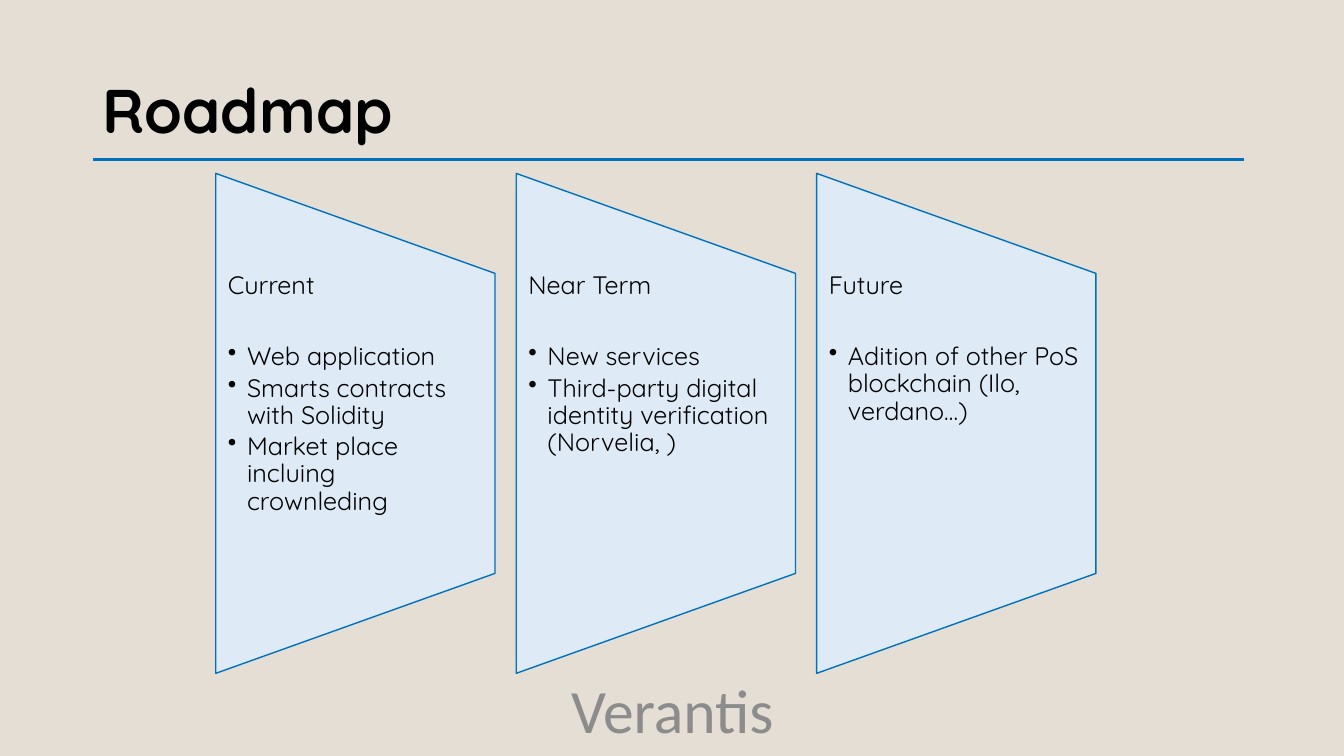
"""Build a roadmap slide with three stages."""
import pptx
import pptx.dml.color
import pptx.enum.shapes
import pptx.enum.text
import pptx.oxml
import pptx.oxml.ns
import pptx.util

Inches = pptx.util.Inches
Pt = pptx.util.Pt
SHAPES = pptx.enum.shapes.MSO_SHAPE
ANCHOR = pptx.enum.text.MSO_ANCHOR
ALIGN = pptx.enum.text.PP_ALIGN

TITLE = "Roadmap"
BRAND = "Verantis"
STAGES = [
    ("Current", ["Web application", "Smarts contracts with Solidity",
                 "Market place incluing crownleding"]),
    ("Near Term", ["New services",
                   "Third-party digital identity verification (Norvelia, )"]),
    ("Future", ["Adition of other PoS blockchain (Ilo, verdano…)"]),
]

THEME = {
    "back": "E5DED5", "panel": "DEEBF7", "line": "0070C0",
    "ink": "000000", "gray": "8C8C8C",
    "font": "Quicksand", "foot": "Calibri", "big": 44, "body": 18,
}
LEFT, STEP, WIDE = 2.14, 2.98, 2.77
TOP, TALL = 1.72, 4.96
TEXT_TOP, TEXT_TALL = 2.71, 2.98
HEAD_GAP, ITEM_GAP, INDENT = 31, 3, 0.19


def color(name):
    return pptx.dml.color.RGBColor.from_string(THEME[name])


def add_bullet(para):
    props = para._p.get_or_add_pPr()
    props.set("marL", str(Inches(INDENT)))
    props.set("indent", str(-Inches(INDENT)))
    mark = pptx.oxml.parse_xml(
        '<a:buChar xmlns:a="http://schemas.openxmlformats.org/drawingml/2006/main"'
        ' char="•"/>')
    props.append(mark)


def add_text(slide, box, lines, size="body", font="font", ink="ink", bold=False,
             align=ALIGN.LEFT, anchor=ANCHOR.TOP, side=0.1, ratio=0.9):
    frame = slide.shapes.add_textbox(*map(Inches, box)).text_frame
    frame.word_wrap = True
    frame.vertical_anchor = anchor
    frame.margin_left = frame.margin_right = Inches(side)
    frame.margin_top = frame.margin_bottom = 0
    for spot, (text, gap, bullet) in enumerate(lines):
        para = frame.add_paragraph() if spot else frame.paragraphs[0]
        para.alignment = align
        para.line_spacing = ratio
        para.space_after = Pt(gap)
        if bullet:
            add_bullet(para)
        run = para.add_run()
        run.text = text
        run.font.size = Pt(THEME[size])
        run.font.name = THEME[font]
        run.font.bold = bold
        run.font.color.rgb = color(ink)


def add_rule(slide):
    rule = slide.shapes.add_connector(
        pptx.enum.shapes.MSO_CONNECTOR.STRAIGHT,
        *map(Inches, (0.92, 1.58, 12.34, 1.58)))
    rule.line.color.rgb = color("line")
    rule.line.width = Pt(2.25)
    props = rule._element.spPr
    props.append(props.makeelement(pptx.oxml.ns.qn("a:effectLst"), {}))


def add_stage(slide, left, head, items):
    shift = (TALL - WIDE) / 2
    box = (left - shift, TOP + shift, TALL, WIDE)
    panel = slide.shapes.add_shape(
        SHAPES.FLOWCHART_MANUAL_OPERATION, *map(Inches, box))
    panel.rotation = 270
    panel.shadow.inherit = False
    panel.fill.solid()
    panel.fill.fore_color.rgb = color("panel")
    panel.line.color.rgb = color("line")
    panel.line.width = Pt(1)
    lines = [(head, HEAD_GAP, False)]
    lines += [(item, ITEM_GAP, True) for item in items]
    add_text(slide, (left, TEXT_TOP, WIDE, TEXT_TALL), lines, side=0.12)


def main():
    deck = pptx.Presentation()
    deck.slide_width, deck.slide_height = Inches(13.33), Inches(7.5)
    slide = deck.slides.add_slide(deck.slide_layouts[6])
    slide.background.fill.solid()
    slide.background.fill.fore_color.rgb = color("back")
    add_text(slide, (4.42, 6.66, 4.5, 0.75), [(BRAND, 0, False)], size="big",
             font="foot", ink="gray", align=ALIGN.CENTER,
             anchor=ANCHOR.MIDDLE, ratio=1.0)
    add_text(slide, (0.92, 0.4, 11.5, 1.45), [(TITLE, 0, False)], size="big",
             bold=True, anchor=ANCHOR.MIDDLE)
    add_rule(slide)
    for index, (head, items) in enumerate(STAGES):
        add_stage(slide, LEFT + index * STEP, head, items)
    deck.save("out.pptx")


if __name__ == "__main__":
    main()
